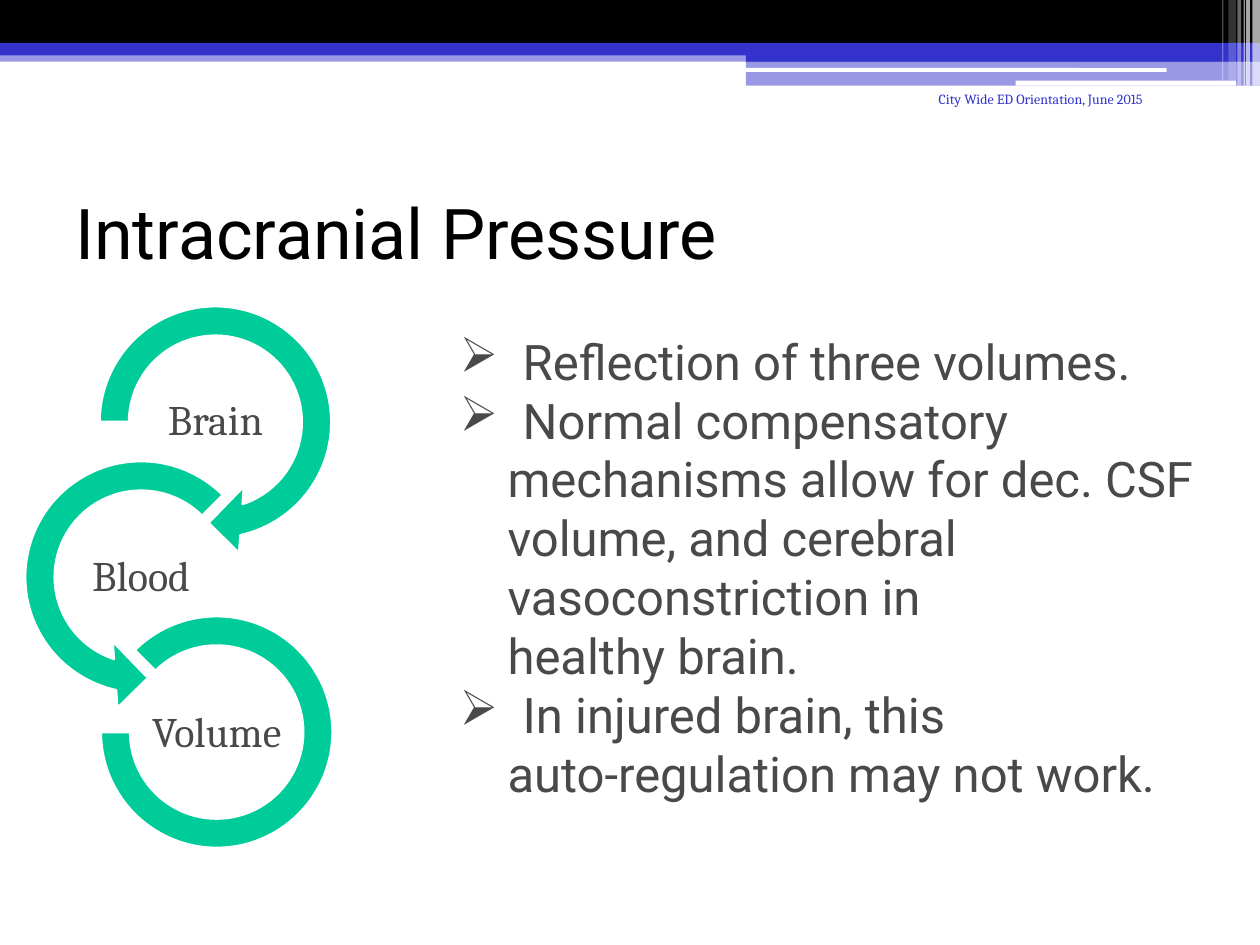
"""Build the Intracranial Pressure slide."""
from dataclasses import dataclass

from lxml.etree import SubElement
from pptx import Presentation
from pptx.dml.color import RGBColor
from pptx.enum.shapes import MSO_SHAPE
from pptx.enum.text import MSO_ANCHOR, PP_ALIGN
from pptx.oxml.ns import qn
from pptx.util import Inches, Pt


@dataclass(frozen=True)
class Theme:
    black: str = "000000"
    white: str = "FFFFFF"
    blue: str = "3333CC"
    green: str = "00CC99"
    gray: str = "494949"
    heading_font: str = "Roboto"
    label_font: str = "Cambria"
    title_size: int = 40
    body_size: int = 28
    label_size: int = 24
    footer_size: int = 8
    outline: float = 1.5


THEME = Theme()
COLUMNS, ROWS = 100, 75

BANDS = [
    (0, 4, 100, 0.9, THEME.blue, 50),
    (0, 0, 100, 3.4, THEME.black, 100),
    (0, 3.4, 100, 1, THEME.blue, 100),
    (59.2, 3.9, 40.8, 1, THEME.blue, 100),
    (59.2, 4.8, 40.8, 2, THEME.blue, 50),
]
SLITS = [(59.1, 5.4, 33.5, 0.3), (80.6, 6.4, 17.5, 0.4)]
STRIPES = [
    (99.4, 0.6, 6.8, 65),
    (98.9, 0.3, 6.8, 65),
    (98.7, 0.1, 6.8, 60),
    (98.2, 0.3, 6.8, 40),
    (97.5, 0.6, 6.4, 20),
    (97, 0.1, 6.4, 30),
]
RINGS = [
    (MSO_SHAPE.CIRCULAR_ARROW, 6.4, 22.8, 21.4, (0.11, 11.423, 45, 108, 0.125), "Brain"),
    (MSO_SHAPE.LEFT_CIRCULAR_ARROW, 0.5, 35.1, 21.4, (0.11, 11.423, 63, 189, 0.125), "Blood"),
    (MSO_SHAPE.BLOCK_ARC, 8, 48.9, 18.4, (135, 108, 0.127), "Volume"),
]
LABEL_WIDTH, LABEL_HEIGHT, LABEL_TOP, LABEL_STEP = 11.9, 5.9, 30.5, 12.4
POINTS = [
    ["Reflection of three volumes."],
    ["Normal compensatory", "mechanisms allow for dec. CSF", "volume, and cerebral",
     "vasoconstriction in", "healthy brain."],
    ["In injured brain, this", "auto-regulation may not work."],
]


def apply_format(target, values):
    """Set each named attribute of the target."""
    for name, value in values.items():
        setattr(target, name, value)


class SlideBuilder:
    """Hold the theme and the current slide, and draw its elements on a grid."""

    def __init__(self, presentation, theme):
        """Add a blank slide and measure its grid cells."""
        self.theme = theme
        self.slide = presentation.slides.add_slide(presentation.slide_layouts[6])
        self.column = presentation.slide_width / COLUMNS
        self.row = presentation.slide_height / ROWS

    def place(self, left, top, width, height):
        """Turn grid units into slide lengths."""
        cells = (self.column, self.row, self.column, self.row)
        return [round(value * cell) for value, cell in zip((left, top, width, height), cells)]

    def shape(self, kind, box, color, opacity=100, adjustments=(), outline=None):
        """Draw a filled preset shape."""
        shape = self.slide.shapes.add_shape(kind, *self.place(*box))
        shape.shadow.inherit = False
        for index, value in enumerate(adjustments):
            shape.adjustments[index] = value
        shape.fill.solid()
        shape.fill.fore_color.rgb = RGBColor.from_string(color)
        if opacity < 100:
            color_element = shape.element.spPr.find(".//" + qn("a:srgbClr"))
            SubElement(color_element, qn("a:alpha"), val=str(opacity * 1000))
        if outline:
            shape.line.color.rgb = RGBColor.from_string(outline)
            shape.line.width = Pt(self.theme.outline)
        else:
            shape.line.fill.background()

    def frame(self, box, **values):
        """Add a wrapping text box and return its text frame."""
        frame = self.slide.shapes.add_textbox(*self.place(*box)).text_frame
        apply_format(frame, {"word_wrap": True, **values})
        return frame

    def add_text(self, paragraph, text, font, size, color, **values):
        """Fill a paragraph with one styled run."""
        apply_format(paragraph, values)
        run = paragraph.add_run()
        run.text = text
        apply_format(run.font, {"name": font, "size": Pt(size)})
        run.font.color.rgb = RGBColor.from_string(color)

    def label(self, box, text):
        """Add a centred ring label."""
        margins = dict.fromkeys(
            ("margin_left", "margin_top", "margin_right", "margin_bottom"), Inches(0.02))
        frame = self.frame(box, vertical_anchor=MSO_ANCHOR.MIDDLE, **margins)
        self.add_text(frame.paragraphs[0], text, self.theme.label_font, self.theme.label_size,
                      self.theme.gray, alignment=PP_ALIGN.CENTER, line_spacing=0.9)

    def bullets(self, box, points):
        """Add bulleted points with their indented continuation lines."""
        frame = self.frame(box)
        lines = [(text, index == 0) for point in points for index, text in enumerate(point)]
        for number, (text, bulleted) in enumerate(lines):
            paragraph = frame.add_paragraph() if number else frame.paragraphs[0]
            properties = paragraph._p.get_or_add_pPr()
            margin, indent = (0.5, -0.5) if bulleted else (0.38, 0)
            properties.set("marL", str(Inches(margin)))
            properties.set("indent", str(Inches(indent)))
            if bulleted:
                SubElement(properties, qn("a:buChar"), char="➢")
            self.add_text(paragraph, text, self.theme.heading_font, self.theme.body_size,
                          self.theme.gray)


def main():
    """Draw the slide and save it."""
    presentation = Presentation()
    apply_format(presentation, {"slide_width": Inches(10), "slide_height": Inches(7.5)})
    builder = SlideBuilder(presentation, THEME)

    for *box, color, opacity in BANDS:
        builder.shape(MSO_SHAPE.RECTANGLE, box, color, opacity)
    for box in SLITS:
        builder.shape(MSO_SHAPE.ROUNDED_RECTANGLE, box, THEME.white, adjustments=(0.167,))
    for left, width, height, opacity in STRIPES:
        builder.shape(MSO_SHAPE.RECTANGLE, (left, 0, width, height), THEME.white, opacity)

    title = builder.frame((5, 12.5, 90, 11.7), vertical_anchor=MSO_ANCHOR.MIDDLE)
    builder.add_text(title.paragraphs[0], "Intracranial Pressure", THEME.heading_font,
                     THEME.title_size, THEME.black)
    footer = builder.frame((57.5, 6.7, 34.2, 5))
    builder.add_text(footer.paragraphs[0], "City Wide ED Orientation, June 2015",
                     THEME.label_font, THEME.footer_size, THEME.blue, alignment=PP_ALIGN.RIGHT)

    for index, (kind, left, top, size, adjustments, text) in enumerate(RINGS):
        builder.shape(kind, (left, top, size, size), THEME.green,
                      adjustments=adjustments, outline=THEME.white)
        label_left = left + (size - LABEL_WIDTH) / 2
        label_top = LABEL_TOP + index * LABEL_STEP
        builder.label((label_left, label_top, LABEL_WIDTH, LABEL_HEIGHT), text)
    builder.bullets((35.5, 25.8, 61.9, 43.4), POINTS)

    presentation.save("out.pptx")


if __name__ == "__main__":
    main()
